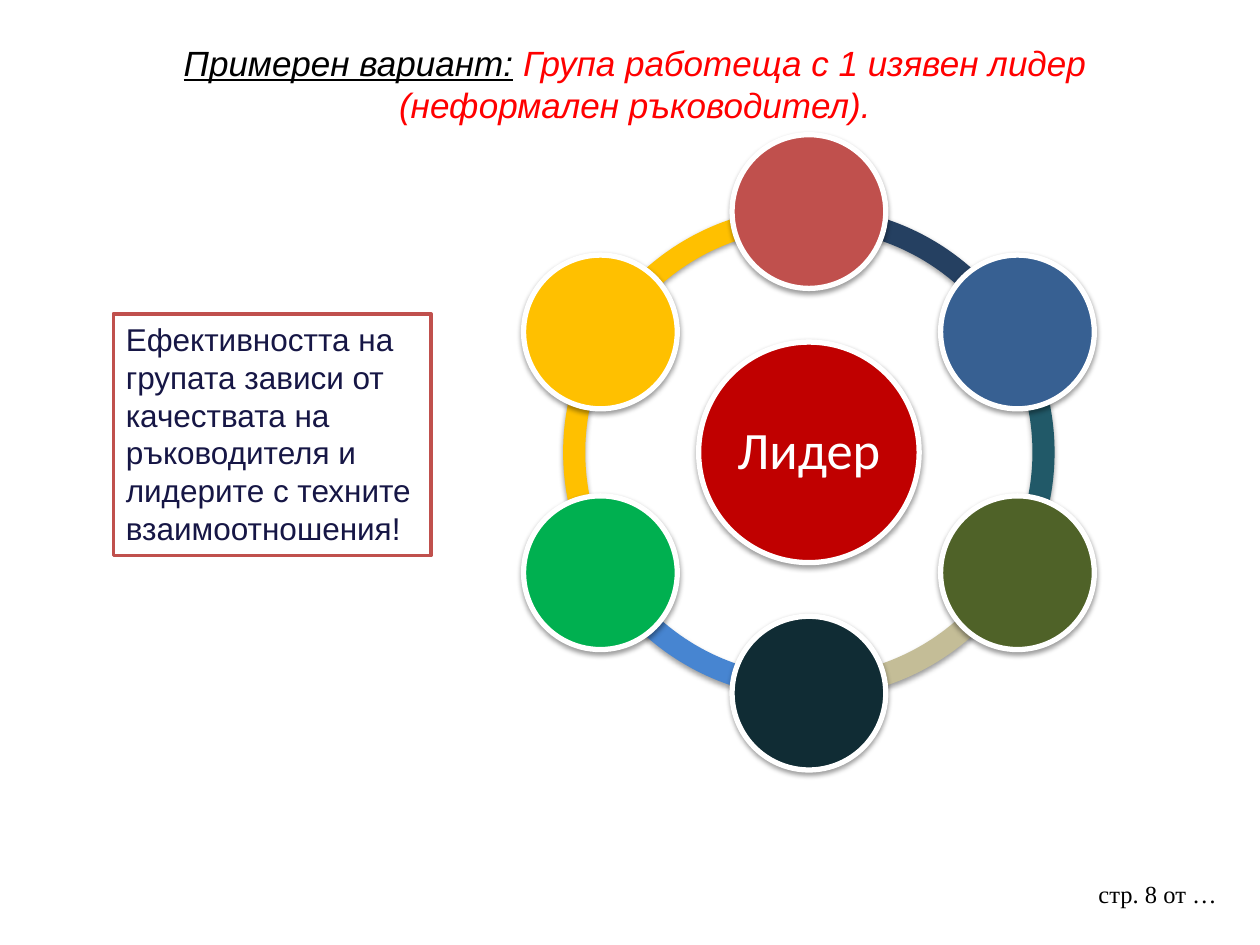
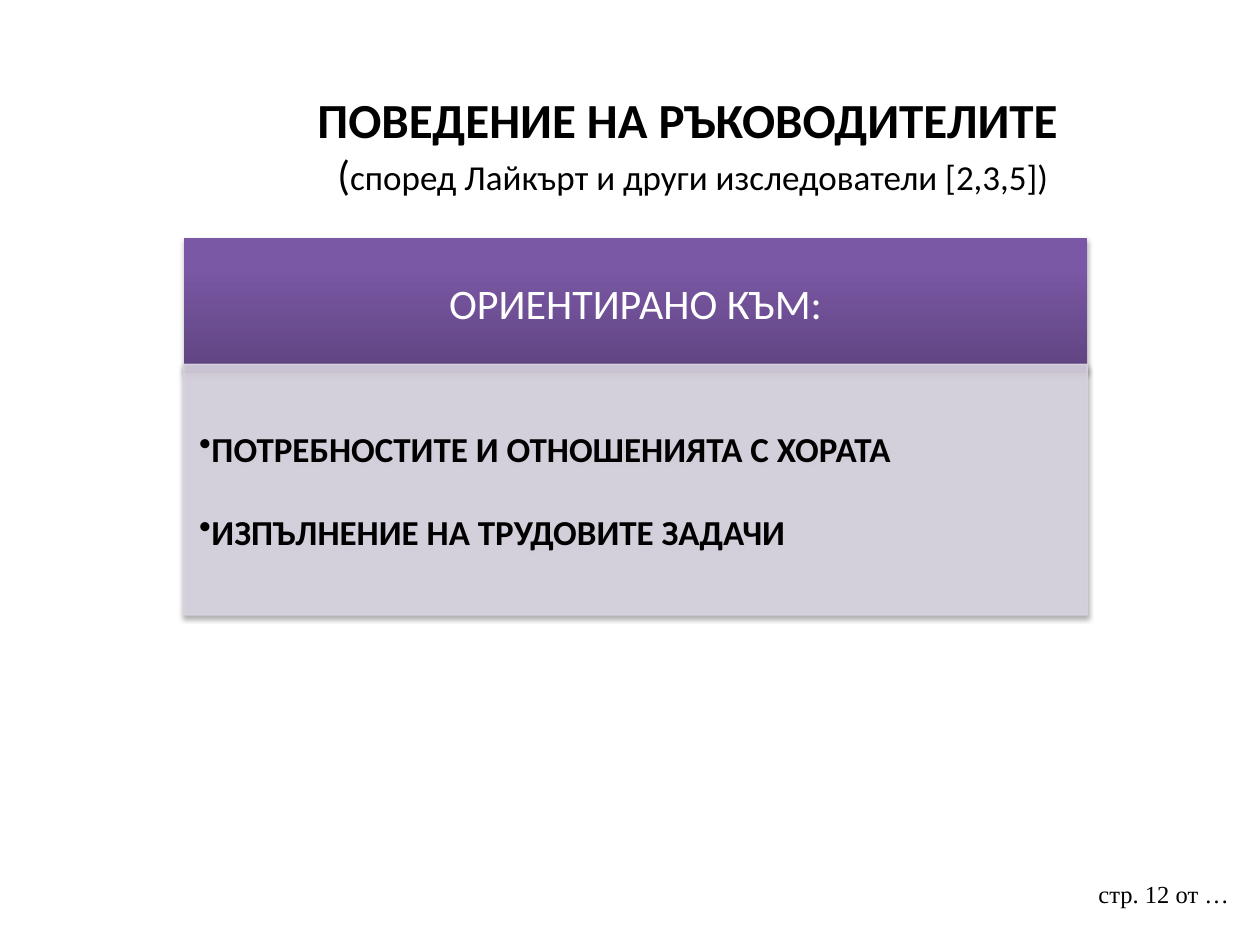
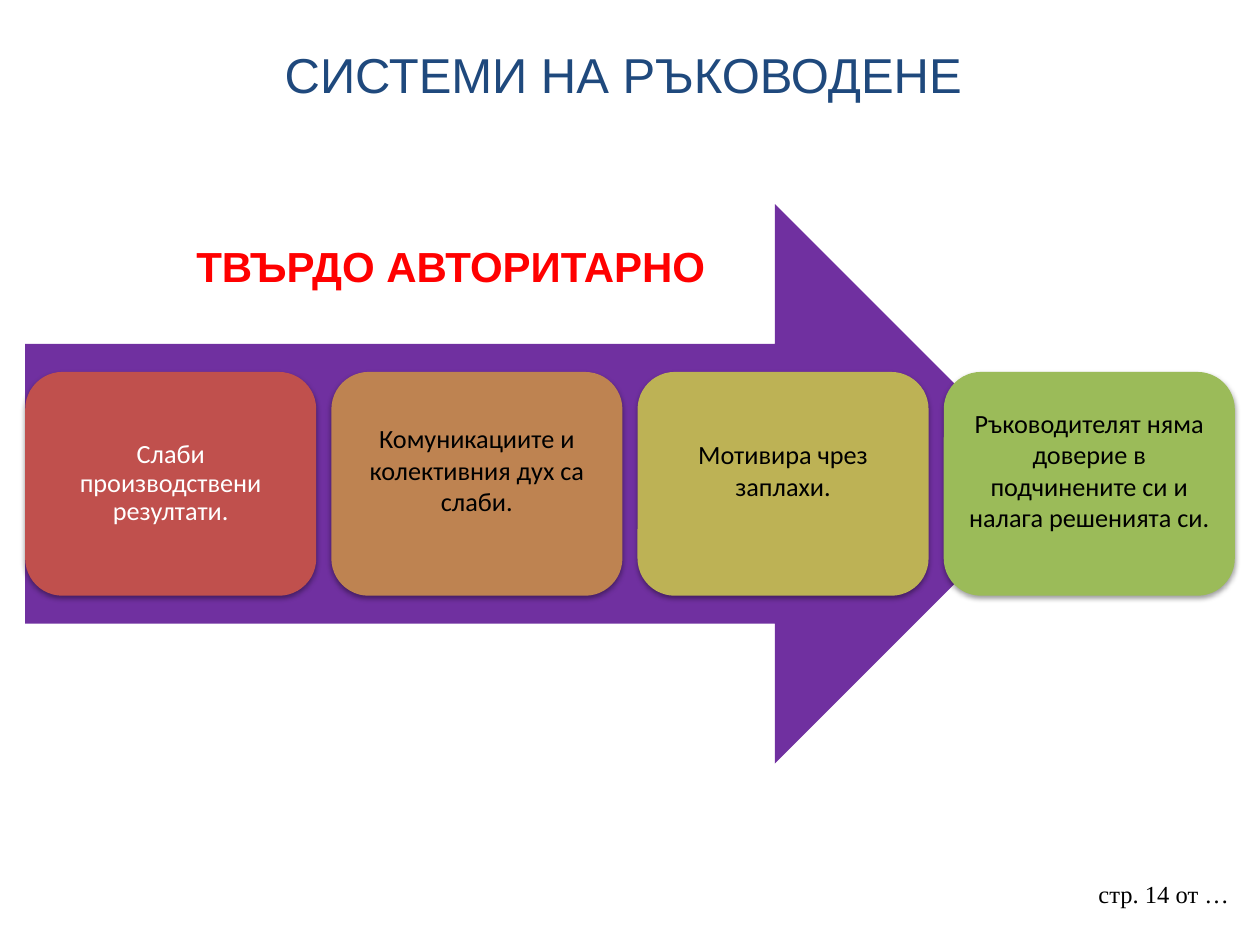
from math import cos, radians, sin

from lxml import etree
from pptx import Presentation
from pptx.dml.color import RGBColor
from pptx.enum.shapes import MSO_SHAPE
from pptx.enum.text import MSO_ANCHOR, PP_ALIGN
from pptx.oxml.ns import qn
from pptx.util import Inches, Pt

ARC, OVAL, RECT = MSO_SHAPE.BLOCK_ARC, MSO_SHAPE.OVAL, MSO_SHAPE.RECTANGLE
CARD, ARROW = MSO_SHAPE.ROUNDED_RECTANGLE, MSO_SHAPE.RIGHT_ARROW
LEFT, CENTER = PP_ALIGN.LEFT, PP_ALIGN.CENTER
TOP, MIDDLE = MSO_ANCHOR.TOP, MSO_ANCHOR.MIDDLE

BLACK, WHITE, RED, GOLD, BRICK = "000000", "FFFFFF", "FF0000", "FFC000", "C0504D"
LILAC = "D8D3E0"
FOOTER_BOX = (8.62, 6.93, 1.3, 0.52)
DEFAULT_INSETS = (0.1, 0.05, 0.1, 0.05)
RING_SHADOW = {"opacity": 38, "distance": 1.6}
PANEL_SHADOW = {"opacity": 35, "distance": 1.8}


def rgb(color):
    return RGBColor.from_string(color)


def font(size, color=BLACK, name="Calibri", **extra):
    return {"size": Pt(size), "name": name, "color": color, **extra}


def write_run(paragraph, text, style):
    run = paragraph.add_run()
    run.text = text
    for key, value in style.items():
        if key == "color":
            run.font.color.rgb = rgb(value)
        else:
            setattr(run.font, key, value)


def set_frame(shape, align, anchor, insets, wrap=True):
    frame = shape.text_frame
    left, top, right, bottom = map(Inches, insets)
    settings = {"word_wrap": wrap, "vertical_anchor": anchor, "margin_left": left,
                "margin_top": top, "margin_right": right, "margin_bottom": bottom}
    for key, value in settings.items():
        setattr(frame, key, value)
    frame.paragraphs[0].alignment = align
    return frame


def write_lines(shape, lines, align=LEFT, anchor=TOP, insets=DEFAULT_INSETS,
                wrap=True, spacing=None):
    paragraph = set_frame(shape, align, anchor, insets, wrap).paragraphs[0]
    paragraph.line_spacing = spacing
    for index, runs in enumerate(lines):
        if index:
            paragraph.add_line_break()
        for text, style in runs:
            write_run(paragraph, text, style)


def add_text(slide, box, lines, **layout):
    write_lines(slide.shapes.add_textbox(*map(Inches, box)), lines, **layout)


def add_alpha(color_parent, percent):
    color = next(color_parent.iter(qn("a:srgbClr")))
    etree.SubElement(color, qn("a:alpha"), val=str(percent * 1000))


def cast_shadow(shape, opacity, distance):
    effects = shape._element.spPr.find(qn("a:effectLst"))
    outer = etree.SubElement(effects, qn("a:outerShdw"), blurRad=str(Pt(3.1)),
                             dist=str(Pt(distance)), dir="5400000", rotWithShape="0")
    etree.SubElement(outer, qn("a:srgbClr"), val=BLACK)
    add_alpha(outer, opacity)


def add_figure(slide, kind, box, fill, line=None, width=1, shadow=None):
    shape = slide.shapes.add_shape(kind, *map(Inches, box))
    shape.shadow.inherit = False
    shape.fill.solid()
    shape.fill.fore_color.rgb = rgb(fill)
    if line:
        shape.line.color.rgb = rgb(line)
        shape.line.width = Pt(width)
    else:
        shape.line.fill.background()
    if shadow:
        cast_shadow(shape, **shadow)
    return shape


def add_page(deck, number):
    slide = deck.slides.add_slide(deck.slide_layouts[6])
    footer = font(14, name="Times New Roman")
    add_text(slide, FOOTER_BOX, [[(f"стр. {number} от …", footer)]])
    return slide


def add_circle(slide, center_x, center_y, size, fill):
    box = (center_x - size / 2, center_y - size / 2, size, size)
    return add_figure(slide, OVAL, box, fill, WHITE, 3, RING_SHADOW)


def add_leader_ring(slide, box):
    left, top, width, height = box
    center_x, center_y = left + width / 2, top + height / 2
    members = [(BRICK, "254061"), ("376092", "215968"), ("4F6228", "C4BD97"),
               ("102C34", "4785D1"), ("00B050", GOLD), (GOLD, GOLD)]
    step = 360 / len(members)
    angles = [(270 + step * index) % 360 for index in range(len(members))]

    for start, (_, link_color) in reversed(list(zip(angles, members))):
        link = add_figure(slide, ARC, box, link_color, shadow=RING_SHADOW)
        for index, value in enumerate((start * 0.6, (start + step) % 360 * 0.6, 0.045)):
            link.adjustments[index] = value

    leader = add_circle(slide, center_x, center_y, 1.75, "C00000")
    write_lines(leader, [[("Лидер", font(30, WHITE))]], align=CENTER, anchor=MIDDLE,
                insets=(0.04,) * 4, spacing=0.9)

    orbit = 0.49 * width
    for angle, (member_color, _) in zip(angles, members):
        add_circle(slide, center_x + orbit * cos(radians(angle)),
                   center_y + orbit * sin(radians(angle)), 1.22, member_color)


def add_conclusion(slide, box):
    conclusion = add_figure(slide, RECT, box, WHITE, BRICK, 2)
    text = ("Ефективността на групата зависи от качествата на ръководителя "
            "и лидерите с техните взаимоотношения!")
    write_lines(conclusion, [[(text, font(18, "161645", "Arial"))]])


def build_leader_slide(deck):
    slide = add_page(deck, 8)
    lead = font(20, name="Arial", italic=True)
    variant = "Група работеща с 1 изявен лидер (неформален ръководител)."
    add_text(slide, (0.67, 0.28, 8.74, 0.77),
             [[("Примерен вариант:", {**lead, "underline": True}), (" ", lead),
               (variant, {**lead, "color": RED})]], align=CENTER)
    add_leader_ring(slide, (4.47, 1.64, 3.9, 3.9))
    add_conclusion(slide, (0.9, 2.49, 2.52, 1.92))


def add_orientation_header(slide, box):
    header = add_figure(slide, RECT, box, "7B58A6", shadow=PANEL_SHADOW)
    header.fill.gradient()
    header.fill.gradient_angle = 90
    stops = [(0, "5F4480"), (0.8, "7B58A6")]
    for stop, (position, color) in zip(header.fill.gradient_stops, stops):
        stop.position = position
        stop.color.rgb = rgb(color)
    write_lines(header, [[("ОРИЕНТИРАНО КЪМ:", font(24, WHITE))]], align=CENTER,
                anchor=MIDDLE, insets=(0.19, 0.11, 0.19, 0.11), spacing=0.9)


def add_orientation_list(slide, box):
    panel = add_figure(slide, RECT, box, LILAC, LILAC, 0.75, PANEL_SHADOW)
    properties = panel._element.spPr
    for part in (properties.find(qn("a:solidFill")), properties.find(qn("a:ln"))):
        add_alpha(part, 90)
    frame = set_frame(panel, LEFT, TOP, (0.12, 0.5, 0.16, 0.17))
    orientations = ["ПОТРЕБНОСТИТЕ И ОТНОШЕНИЯТА С ХОРАТА",
                    "ИЗПЪЛНЕНИЕ НА ТРУДОВИТЕ ЗАДАЧИ"]
    for index, orientation in enumerate(orientations):
        paragraph = frame.add_paragraph() if index else frame.paragraphs[0]
        paragraph.alignment = LEFT
        if index:
            paragraph.space_before = Pt(23.5)
        bullet_properties = paragraph._p.get_or_add_pPr()
        bullet_properties.set("marL", "0")
        bullet_properties.set("indent", "0")
        etree.SubElement(bullet_properties, qn("a:buChar"), char="•")
        write_run(paragraph, orientation, font(20, bold=True))


def build_behaviour_slide(deck):
    slide = add_page(deck, 12)
    add_text(slide, (1, 0.52, 9, 1.25),
             [[("ПОВЕДЕНИЕ НА РЪКОВОДИТЕЛИТЕ ", font(28, bold=True))],
              [("(", font(24)),
               ("според Лайкърт и други изследователи [2,3,5])", font(20))]],
             align=CENTER, anchor=MIDDLE)
    add_orientation_header(slide, (1.46, 1.89, 7.17, 1.07))
    add_orientation_list(slide, (1.46, 2.89, 7.17, 1.99))


def add_traits(slide, box):
    left, top, width, height = box
    traits = [("Слаби производствени резултати.", BRICK, WHITE, 0.06, 0.9),
              ("Комуникациите и колективния дух са слаби.", "BE8351", BLACK, 0.28, None),
              ("Мотивира чрез заплахи.", "BDB255", BLACK, 0.28, None),
              ("Ръководителят няма доверие в подчинените си и налага решенията си.",
               "9BBB59", BLACK, 0.28, None)]
    gap = 0.12
    card_width = (width - gap * (len(traits) - 1)) / len(traits)
    card_height = 0.4 * height
    card_top = top + (height - card_height) / 2
    for index, (trait, fill, color, bottom, spacing) in enumerate(traits):
        card_left = left + index * (card_width + gap)
        card = add_figure(slide, CARD, (card_left, card_top, card_width, card_height),
                          fill, shadow=RING_SHADOW)
        write_lines(card, [[(trait, font(15, color))]], align=CENTER, anchor=MIDDLE,
                    insets=(0.06, 0.06, 0.06, bottom), spacing=spacing)


def build_systems_slide(deck):
    slide = add_page(deck, 14)
    add_text(slide, (0.5, 0.3, 9, 1.25),
             [[("СИСТЕМИ НА РЪКОВОДЕНЕ ", font(28, "1F497D", "Arial"))]], align=CENTER)
    add_figure(slide, ARROW, (0.2, 1.62, 8.17, 4.44), "7030A0")
    add_traits(slide, (0.2, 1.62, 9.6, 4.44))
    add_text(slide, (1.46, 1.86, 4.37, 0.51),
             [[("ТВЪРДО АВТОРИТАРНО", font(24, RED, "Arial", bold=True))]], wrap=False)


def main():
    deck = Presentation()
    deck.slide_width, deck.slide_height = Inches(10), Inches(7.5)
    build_leader_slide(deck)
    build_behaviour_slide(deck)
    build_systems_slide(deck)
    deck.save("out.pptx")


if __name__ == "__main__":
    main()
